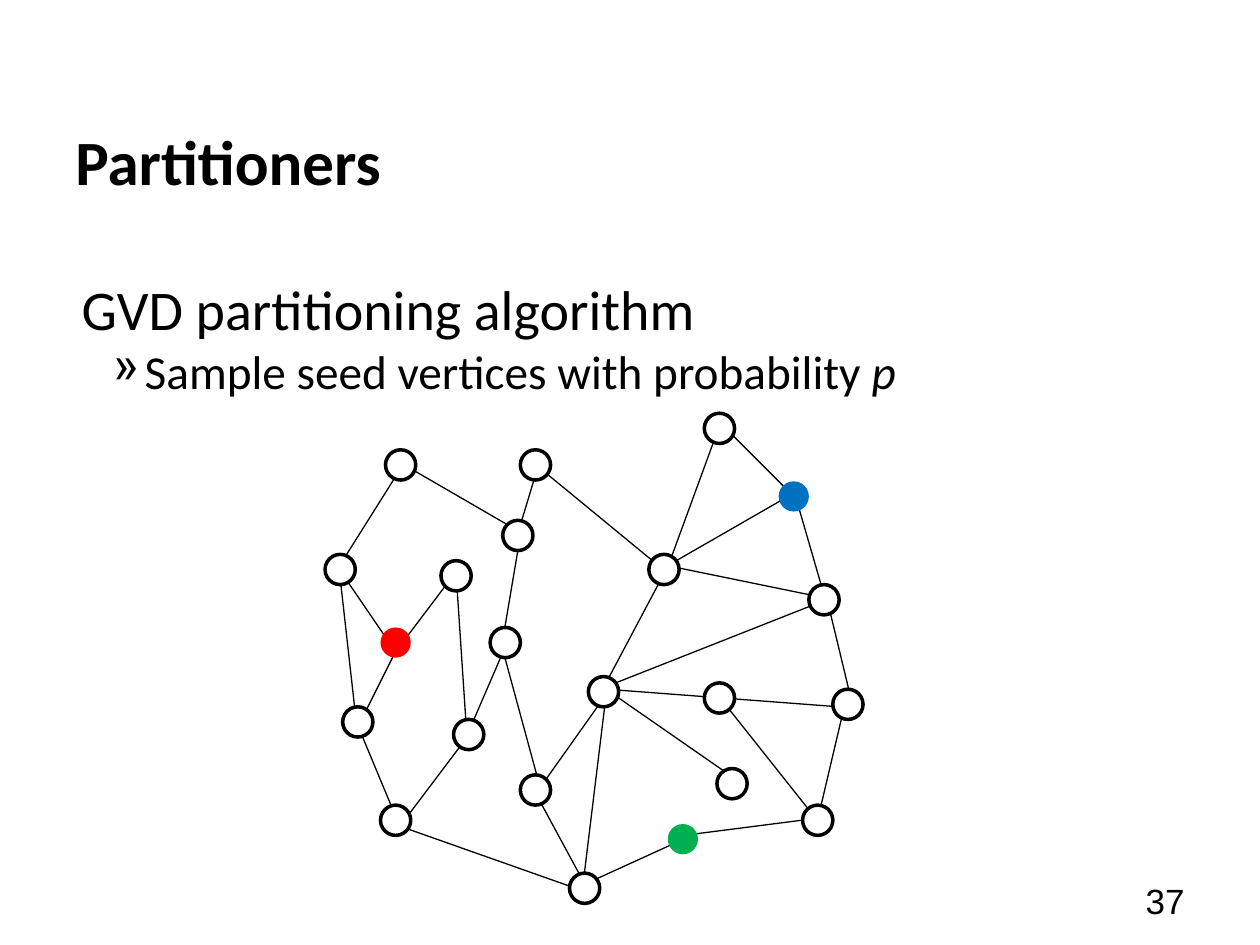
import pptx
import pptx.util
import pptx.dml.color
import pptx.enum.shapes
import pptx.enum.text
import pptx.oxml.ns
import lxml.etree

PX = 9144
SIZE = 24
qn = pptx.oxml.ns.qn
Align = pptx.enum.text.PP_ALIGN
Anchor = pptx.enum.text.MSO_ANCHOR


def color(code):
    return pptx.dml.color.RGBColor.from_string(code)


def write(para, text, size, font="Calibri", bold=False, slant=False):
    run = para.add_run()
    run.text = text
    run.font.name = font
    run.font.size = pptx.util.Pt(size)
    run.font.bold = bold
    run.font.italic = slant
    run.font.color.rgb = color("000000")


deck = pptx.Presentation()
deck.slide_width = 1000 * PX
deck.slide_height = 750 * PX
slide = deck.slides.add_slide(deck.slide_layouts[6])
shapes = slide.shapes

frames = []
for box, anchor in [
    ((50, 65, 900, 125), Anchor.MIDDLE),
    ((55, 213, 919, 462), Anchor.TOP),
    ((717, 695, 233, 40), Anchor.MIDDLE),
]:
    frame = shapes.add_textbox(*[n * PX for n in box]).text_frame
    frame.word_wrap = True
    frame.vertical_anchor = anchor
    frames.append(frame)
title, body, number = frames

write(title.paragraphs[0], "Partitioners", 36, bold=True)
write(body.paragraphs[0], "GVD partitioning algorithm", 32)
point = body.add_paragraph()
props = point._p.get_or_add_pPr()
props.set("marL", str(50 * PX))
props.set("indent", str(-25 * PX))
lxml.etree.SubElement(props, qn("a:buChar")).set("char", "»")
write(point, "Sample seed vertices with probability ", 27)
write(point, "p", 27, slant=True)
number.paragraphs[0].alignment = Align.RIGHT
write(number.paragraphs[0], "37", 20, "Arial")

edges = [
    (467, 707, 421, 622), (272, 445, 316, 375), (311, 513, 268, 450),
    (287, 571, 316, 513), (282, 566, 270, 459), (317, 655, 282, 571),
    (321, 651, 370, 586), (370, 576, 362, 455), (321, 508, 358, 459),
    (402, 416, 326, 372), (399, 508, 413, 425), (374, 576, 399, 518),
    (426, 615, 401, 523), (428, 626, 477, 557), (462, 708, 481, 552),
    (457, 705, 547, 664), (321, 657, 457, 705), (535, 664, 652, 649),
    (481, 547, 579, 615), (574, 557, 647, 649), (525, 459, 481, 542),
    (428, 367, 409, 430), (530, 455, 423, 367), (571, 338, 530, 450),
    (622, 396, 535, 446), (661, 474, 481, 545), (666, 561, 481, 547),
    (627, 391, 574, 338), (652, 474, 535, 450), (676, 557, 656, 474),
    (647, 659, 671, 557), (656, 479, 632, 396),
]
for edge in edges:
    line = shapes.add_connector(
        pptx.enum.shapes.MSO_CONNECTOR.STRAIGHT, *[n * PX for n in edge])
    line.line.color.rgb = color("000000")
    line.line.width = pptx.util.Pt(0.75)
    lxml.etree.SubElement(line._element.spPr, qn("a:effectLst"))

seeds = {(302, 498): "FF0000", (618, 382): "0070C0", (530, 654): "00B050"}
plain = [
    (350, 445), (258, 440), (272, 561), (637, 639), (452, 693), (642, 464),
    (515, 440), (559, 328), (569, 610), (559, 542), (467, 537), (413, 615),
    (413, 357), (661, 547), (399, 413), (360, 571), (389, 498), (302, 639),
    (306, 357),
]
for left, top in [*seeds, *plain]:
    node = shapes.add_shape(
        pptx.enum.shapes.MSO_SHAPE.OVAL,
        left * PX, top * PX, SIZE * PX, SIZE * PX)
    node.shadow.inherit = False
    node.fill.solid()
    node.fill.fore_color.rgb = color(seeds.get((left, top), "FFFFFF"))
    if (left, top) in seeds:
        node.line.fill.background()
    else:
        node.line.color.rgb = color("000000")
        node.line.width = pptx.util.Pt(2)

deck.save("out.pptx")
